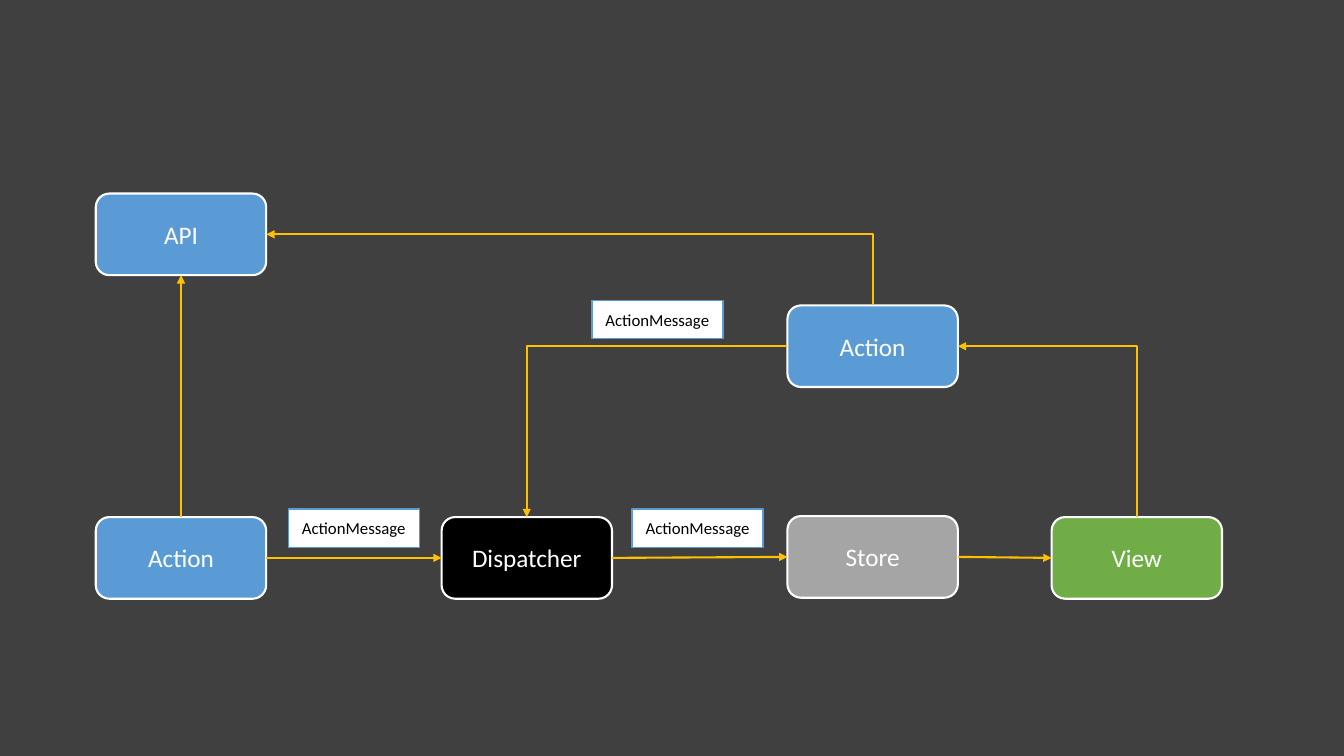
"""Build a one-slide diagram of the action, dispatcher, store and view flow."""
from pptx import Presentation
from pptx.dml.color import RGBColor
from pptx.enum.shapes import MSO_CONNECTOR, MSO_SHAPE
from pptx.enum.text import MSO_ANCHOR, PP_ALIGN
from pptx.oxml.ns import qn
from pptx.util import Inches, Pt
from lxml import etree

ROUNDED, RECTANGLE = MSO_SHAPE.ROUNDED_RECTANGLE, MSO_SHAPE.RECTANGLE
STRAIGHT, ELBOW = MSO_CONNECTOR.STRAIGHT, MSO_CONNECTOR.ELBOW
MIDDLE, CENTER = MSO_ANCHOR.MIDDLE, PP_ALIGN.CENTER
TOP, LEFT, BOTTOM, RIGHT = range(4)

COLORS = {
    "background": "404040", "white": "FFFFFF", "black": "000000",
    "blue": "5B9BD5", "gray": "A5A5A5", "green": "70AD47", "arrow": "FFC000",
}
FONT = "Calibri"
NODE_SIZE = (1.69, 0.81)
LABEL_SIZE = (1.3, 0.38)
LABEL_TEXT = "ActionMessage"

NODES = {
    "first action": ("Action", 0.95, 5.13, "blue"),
    "api": ("API", 0.95, 1.92, "blue"),
    "dispatcher": ("Dispatcher", 4.38, 5.13, "black"),
    "store": ("Store", 7.81, 5.12, "gray"),
    "view": ("View", 10.43, 5.13, "green"),
    "second action": ("Action", 7.81, 3.03, "blue"),
}
ARROWS = [
    ("first action", TOP, "api", BOTTOM),
    ("first action", RIGHT, "dispatcher", LEFT),
    ("dispatcher", RIGHT, "store", LEFT),
    ("store", RIGHT, "view", LEFT),
    ("view", TOP, "second action", RIGHT),
    ("second action", LEFT, "dispatcher", TOP),
    ("second action", TOP, "api", RIGHT),
]
LABELS = [(2.86, 5.05), (6.27, 5.05), (5.87, 2.98)]


def rgb(name):
    return RGBColor.from_string(COLORS[name])


def add_box(slide, kind, text, position, size, fill, line, line_width, font_color, font_size):
    shape = slide.shapes.add_shape(kind, *map(Inches, position + size))
    shape.shadow.inherit = False
    shape.fill.solid()
    shape.fill.fore_color.rgb = rgb(fill)
    shape.line.color.rgb = rgb(line)
    shape.line.width = Pt(line_width)
    shape.text_frame.vertical_anchor = MIDDLE
    paragraph = shape.text_frame.paragraphs[0]
    paragraph.text = text
    paragraph.alignment = CENTER
    paragraph.font.name = FONT
    paragraph.font.size = Pt(font_size)
    paragraph.font.color.rgb = rgb(font_color)
    return shape


def bend_once(connector, start_side):
    """Give the connector one corner; a start at the top goes up, then left."""
    properties = connector._element.spPr
    properties.find(qn("a:prstGeom")).set("prst", "bentConnector2")
    if start_side == TOP:
        left, top, width, height = connector.left, connector.top, connector.width, connector.height
        connector.left = left + (width - height) // 2
        connector.top = top + (height - width) // 2
        connector.width, connector.height = height, width
        transform = properties.find(qn("a:xfrm"))
        transform.set("rot", str(270 * 60000))
        transform.set("flipH", "0")
        transform.set("flipV", "1")


def add_arrow(slide, source, start_side, target, end_side):
    straight = start_side % 2 == end_side % 2
    connector = slide.shapes.add_connector(STRAIGHT if straight else ELBOW, 0, 0, 0, 0)
    connector.begin_connect(source, start_side)
    connector.end_connect(target, end_side)
    if not straight:
        bend_once(connector, start_side)
    connector.line.color.rgb = rgb("arrow")
    connector.line.width = Pt(1.5)
    properties = connector._element.spPr
    etree.SubElement(properties.find(qn("a:ln")), qn("a:tailEnd"), type="triangle")
    etree.SubElement(properties, qn("a:effectLst"))


def main():
    presentation = Presentation()
    presentation.slide_width, presentation.slide_height = Inches(13.33), Inches(7.5)
    slide = presentation.slides.add_slide(presentation.slide_layouts[6])
    slide.background.fill.solid()
    slide.background.fill.fore_color.rgb = rgb("background")

    boxes = {
        name: add_box(slide, ROUNDED, text, (left, top), NODE_SIZE, fill, "white", 1.5, "white", 18)
        for name, (text, left, top, fill) in NODES.items()
    }
    for source, start_side, target, end_side in ARROWS:
        add_arrow(slide, boxes[source], start_side, boxes[target], end_side)
    for position in LABELS:
        add_box(slide, RECTANGLE, LABEL_TEXT, position, LABEL_SIZE, "white", "blue", 1, "black", 12)

    presentation.save("out.pptx")


if __name__ == "__main__":
    main()
